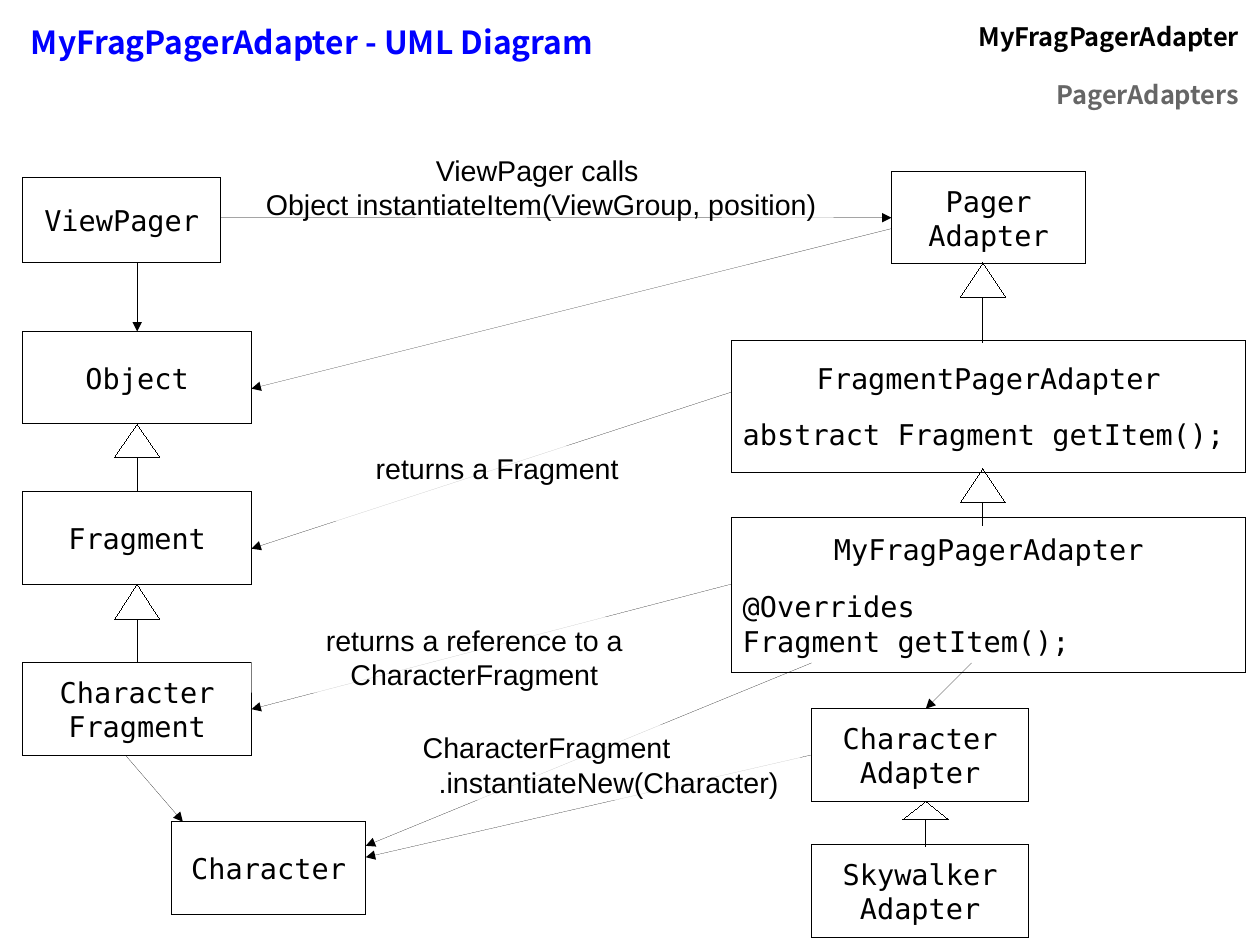
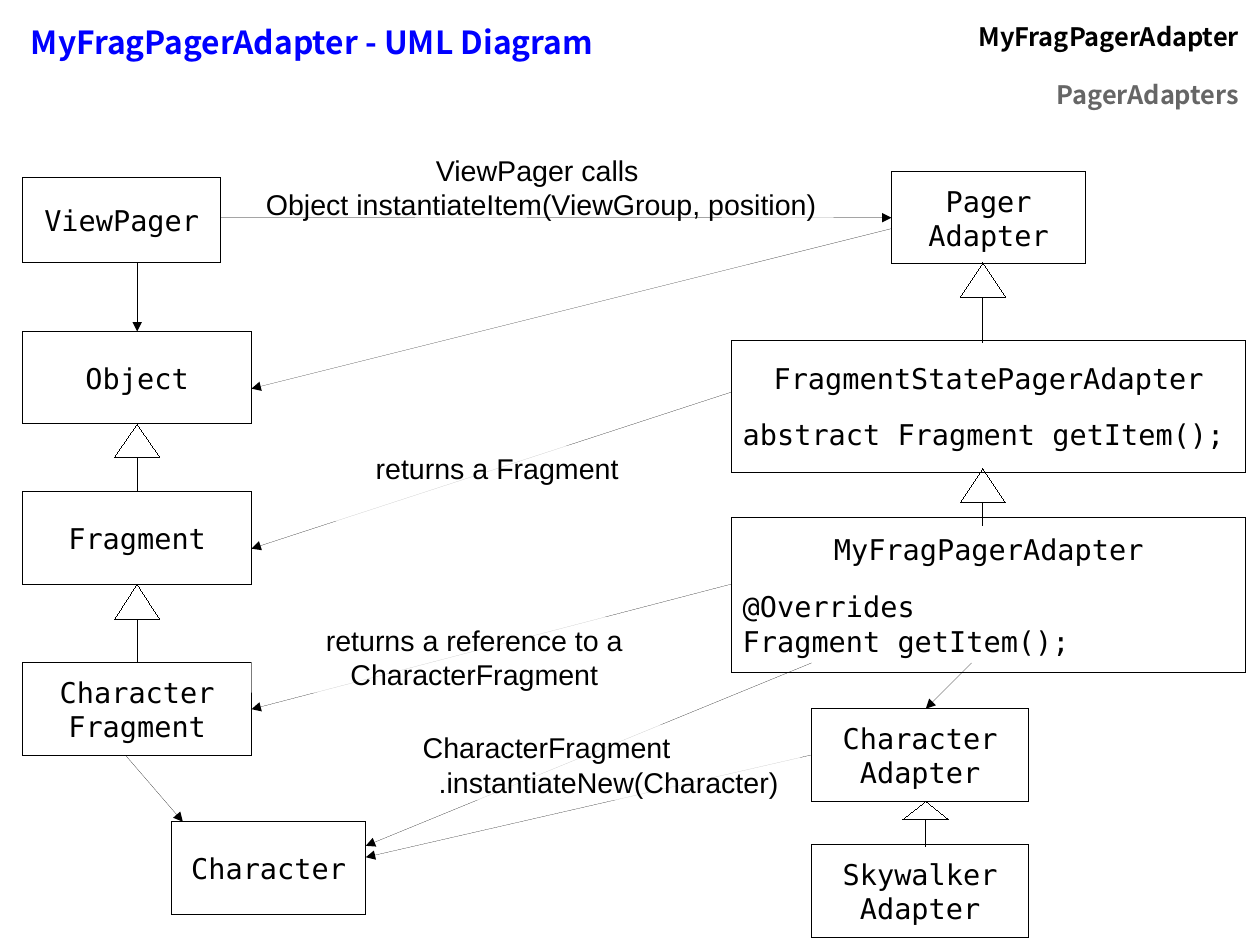
from pptx import Presentation
from pptx.dml.color import RGBColor
from pptx.enum.shapes import MSO_CONNECTOR, MSO_SHAPE
from pptx.enum.text import MSO_ANCHOR, PP_ALIGN
from pptx.oxml.ns import qn
from pptx.util import Inches, Pt
from lxml.etree import SubElement

LEFT, CENTER, RIGHT = PP_ALIGN.LEFT, PP_ALIGN.CENTER, PP_ALIGN.RIGHT
TOP_SIDE, LEFT_SIDE, RIGHT_SIDE = 0, 1, 3
CM_PER_INCH = 2.54

# Theme: colours and type styles
THEME = {
    "ink": RGBColor(0x00, 0x00, 0x00),
    "paper": RGBColor(0xFF, 0xFF, 0xFF),
    "hairline": Pt(0.01),
    "label_opacity": "75000",
    "code": {"name": "DejaVu Sans Mono", "size": Pt(18)},
    "label": {"name": "Arial", "size": Pt(18)},
    "title": {"name": "Noto Sans CJK SC", "size": Pt(20), "bold": True},
    "topic": {"name": "Noto Sans CJK SC", "size": Pt(16), "bold": True},
    "title_color": RGBColor(0x00, 0x00, 0xFF),
    "muted": RGBColor(0x66, 0x66, 0x66),
}


def write_text(frame, paragraphs, style, color=THEME["ink"]):
    """Fill a frame with (text, paragraph format) pairs in one type style."""
    frame.word_wrap = True
    for index, (text, layout) in enumerate(paragraphs):
        paragraph = frame.paragraphs[0] if index == 0 else frame.add_paragraph()
        for attribute, value in layout.items():
            setattr(paragraph, attribute, value)
        run = paragraph.add_run()
        run.text = text
        for attribute, value in THEME[style].items():
            setattr(run.font, attribute, value)
        run.font.color.rgb = color


def draw_line(slide, start, end, arrow=False):
    """Draw a straight hairline, with an arrowhead at its end if asked."""
    connector = slide.shapes.add_connector(
        MSO_CONNECTOR.STRAIGHT, *[Inches(value) for value in (*start, *end)])
    connector.line.color.rgb = THEME["ink"]
    connector.line.width = THEME["hairline"]
    properties = connector._element.spPr
    if arrow:
        SubElement(properties.find(qn("a:ln")), qn("a:tailEnd"), type="triangle")
    SubElement(properties, qn("a:effectLst"))
    return connector


centered = {"alignment": CENTER}
flush = {"alignment": LEFT}

# Header table: row, column, text, alignment, style, colour
HEADER = [
    (0, 0, "MyFragPagerAdapter - UML Diagram", LEFT, "title", THEME["title_color"]),
    (0, 1, "MyFragPagerAdapter", RIGHT, "topic", THEME["ink"]),
    (1, 1, "PagerAdapters", RIGHT, "topic", THEME["muted"]),
]

# Class boxes: left, top, width, height, centred lines
BOXES = {
    "view_pager": (0.2, 1.55, 1.73, 0.75, ["ViewPager"]),
    "pager_adapter": (7.8, 1.5, 1.7, 0.81, ["Pager", "Adapter"]),
    "object": (0.2, 2.9, 2, 0.81, ["Object"]),
    "base_adapter": (6.4, 2.98, 4.5, 1.15, []),
    "fragment": (0.2, 4.3, 2, 0.81, ["Fragment"]),
    "my_adapter": (6.4, 4.53, 4.5, 1.35, ["MyFragPagerAdapter"]),
    "character_fragment": (0.2, 5.8, 2, 0.81, ["Character", "Fragment"]),
    "character": (1.5, 7.19, 1.7, 0.81, ["Character"]),
    "character_adapter": (7.1, 6.2, 1.9, 0.81, ["Character", "Adapter"]),
    "skywalker_adapter": (7.1, 7.39, 1.9, 0.81, ["Skywalker", "Adapter"]),
}
# Methods listed under a class name: gap above, lines
METHODS = {
    "base_adapter": (13.5, ["abstract Fragment getItem();"]),
    "my_adapter": (14.5, ["@Overrides", "Fragment getItem();"]),
}
FILLED_BOXES = {"character_adapter", "skywalker_adapter"}

# Inheritance marks: centre, tip, triangle base, stem end, box joined at its top
INHERITANCE = [
    (1.2, 3.71, 4, 4.3, "fragment"),
    (1.2, 5.11, 5.42, 5.8, "character_fragment"),
    (8.6, 2.3, 2.6, 3, None),
    (8.6, 4.1, 4.4, 4.6, None),
    (8.1, 7.01, 7.17, 7.41, None),
]
TRIANGLE_WIDTH = 0.4

# Arrows: start, end, box and side joined at the start, then at the end
ARROWS = [
    ((1.93, 1.9), (7.8, 1.9), None, ("pager_adapter", LEFT_SIDE)),
    ((1.2, 2.3), (1.2, 2.9), None, ("object", TOP_SIDE)),
    ((7.8, 2), (2.2, 3.4), None, None),
    ((6.4, 3.43), (2.2, 4.8), None, None),
    ((6.4, 5.11), (2.2, 6.2), None, ("character_fragment", RIGHT_SIDE)),
    ((7.1, 6.6), (3.2, 7.5), ("character_adapter", LEFT_SIDE), None),
    ((1.1, 6.61), (1.6, 7.19), None, None),
    ((7.1, 5.8), (3.2, 7.4), None, None),
    ((8.5, 5.8), (8.1, 6.2), None, None),
]

# Arrow labels: left, top, width, veil behind the text, alignment, lines
LABEL_HEIGHT = 0.66
LABELS = [
    (2.2, 1.29, 5.07, False, centered,
     ["ViewPager calls ", "Object instantiateItem(ViewGroup, position)"]),
    (2.4, 3.9, 3.9, True, centered, ["returns a Fragment"]),
    (2.2, 5.4, 3.9, True, centered, ["returns a reference to a CharacterFragment"]),
    (3.6, 6.34, 3.4, True, flush, ["CharacterFragment", ".instantiateNew(Character)"]),
]
CONTINUATION_INDENT = Inches(0.14)

# Slide of 28 by 21 centimetres
presentation = Presentation()
presentation.slide_width = Inches(28 / CM_PER_INCH)
presentation.slide_height = Inches(21 / CM_PER_INCH)

for base_class in ("FragmentPagerAdapter", "FragmentStatePagerAdapter"):
    slide = presentation.slides.add_slide(presentation.slide_layouts[6])

    # Header
    header = slide.shapes.add_table(
        2, 2, Inches(0.17), Inches(0.1), Inches(10.77), Inches(0.96))
    header.height = Inches(0.79)
    table = header.table
    table.first_row = table.horz_banding = False
    for column, width in zip(table.columns, (7.68, 3.09)):
        column.width = Inches(width)
    for cell in table.iter_cells():
        cell.fill.solid()
        cell.fill.fore_color.rgb = THEME["paper"]
    for row, column, text, alignment, style, color in HEADER:
        write_text(table.cell(row, column).text_frame,
                   [(text, {"alignment": alignment})], style, color)

    # Class boxes
    boxes = {}
    for name, (left, top, width, height, lines) in BOXES.items():
        box = slide.shapes.add_shape(
            MSO_SHAPE.RECTANGLE, Inches(left), Inches(top), Inches(width), Inches(height))
        box.shadow.inherit = False
        box.line.color.rgb = THEME["ink"]
        box.line.width = THEME["hairline"]
        if name in FILLED_BOXES:
            box.fill.solid()
            box.fill.fore_color.rgb = THEME["paper"]
        else:
            box.fill.background()
        paragraphs = [(line, centered) for line in lines or [base_class]]
        gap, methods = METHODS.get(name, (0, []))
        for index, method in enumerate(methods):
            space = Pt(gap) if index == 0 else Pt(0)
            paragraphs.append((method, {**flush, "space_before": space}))
        box.text_frame.vertical_anchor = MSO_ANCHOR.MIDDLE
        write_text(box.text_frame, paragraphs, "code")
        boxes[name] = box

    # Inheritance triangles and stems
    for center, tip, base, stem_end, child in INHERITANCE:
        triangle = slide.shapes.add_shape(
            MSO_SHAPE.ISOSCELES_TRIANGLE, Inches(center - TRIANGLE_WIDTH / 2),
            Inches(tip), Inches(TRIANGLE_WIDTH), Inches(base - tip))
        triangle.shadow.inherit = False
        triangle.fill.background()
        triangle.line.color.rgb = THEME["ink"]
        triangle.line.width = THEME["hairline"]
        stem = draw_line(slide, (center, stem_end), (center, base))
        if child:
            stem.begin_connect(boxes[child], TOP_SIDE)

    # Arrows
    for start, end, start_joint, end_joint in ARROWS:
        arrow = draw_line(slide, start, end, arrow=True)
        if start_joint:
            arrow.begin_connect(boxes[start_joint[0]], start_joint[1])
        if end_joint:
            arrow.end_connect(boxes[end_joint[0]], end_joint[1])

    # Arrow labels over a translucent veil
    for left, top, width, veiled, layout, lines in LABELS:
        label = slide.shapes.add_textbox(
            Inches(left), Inches(top), Inches(width), Inches(LABEL_HEIGHT))
        if veiled:
            label.fill.solid()
            label.fill.fore_color.rgb = THEME["paper"]
            color = label._element.spPr.find(".//" + qn("a:srgbClr"))
            SubElement(color, qn("a:alpha"), val=THEME["label_opacity"])
        write_text(label.text_frame, [(line, layout) for line in lines], "label")
        if layout is flush:
            continuation = label.text_frame.paragraphs[-1]._p.get_or_add_pPr()
            continuation.set("marL", str(CONTINUATION_INDENT))

presentation.save("out.pptx")
